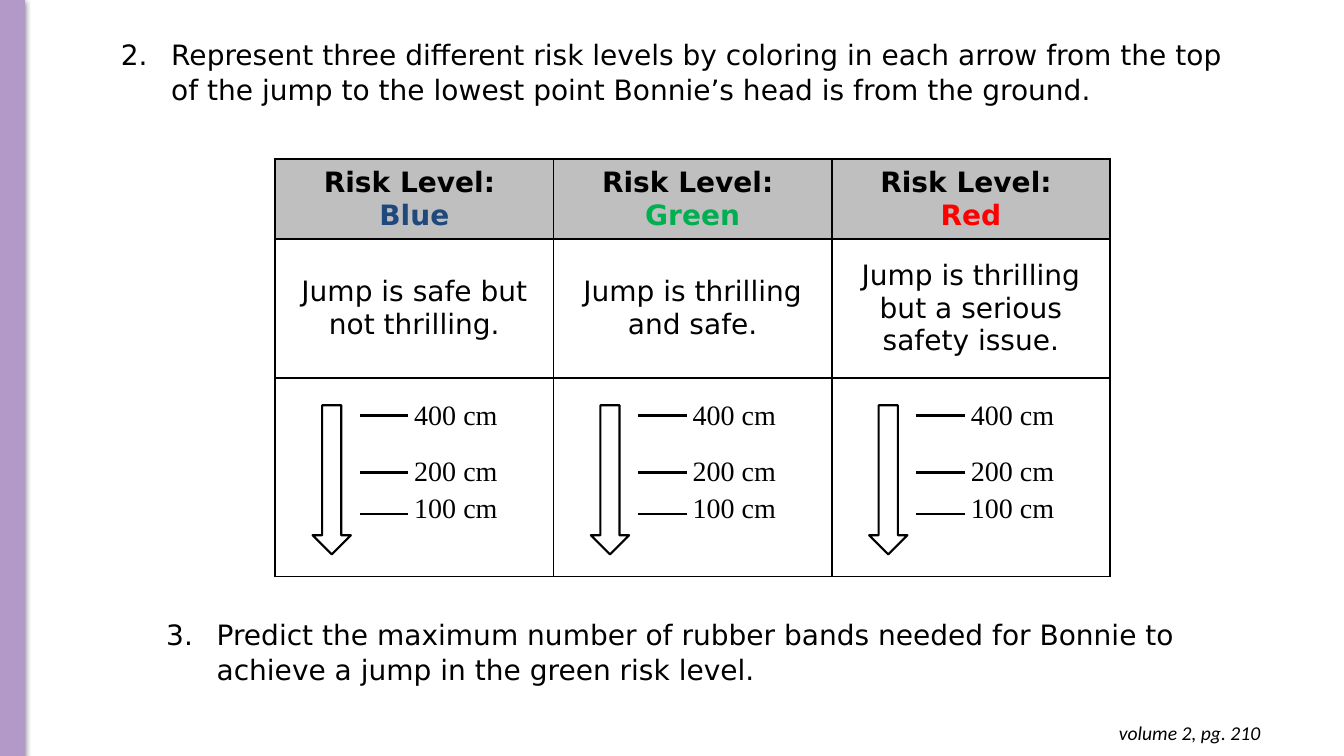
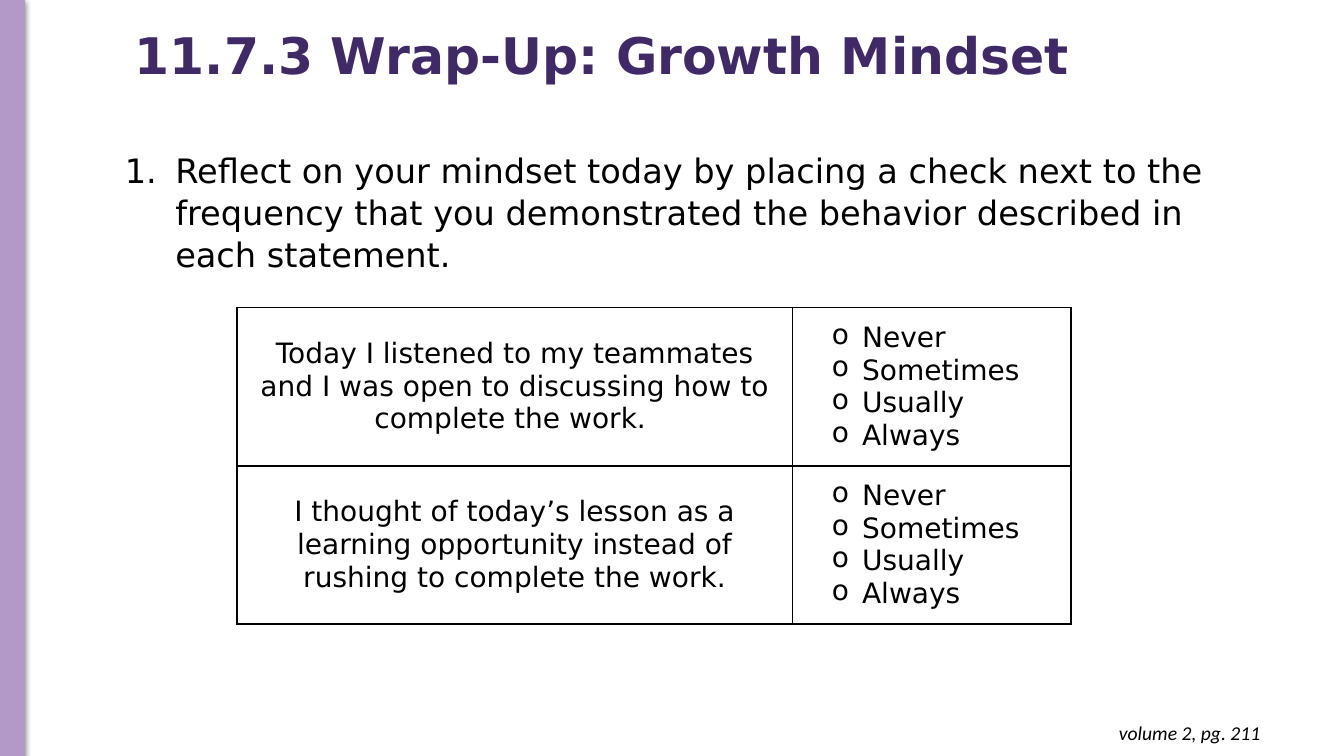
from dataclasses import dataclass

import lxml.etree
import pptx
import pptx.dml.color
import pptx.enum.shapes
import pptx.enum.text
import pptx.oxml.ns
import pptx.util

Inches = pptx.util.Inches
Pt = pptx.util.Pt
Align = pptx.enum.text.PP_ALIGN
Anchor = pptx.enum.text.MSO_ANCHOR
Shape = pptx.enum.shapes.MSO_SHAPE
qn = pptx.oxml.ns.qn


@dataclass(frozen=True)
class Theme:
    """Colours, fonts, sizes and line widths shared by the slides."""
    ink: str = "000000"
    bar: str = "B399C8"
    title: str = "3F2A67"
    header: str = "BFBFBF"
    blue: str = "1F497D"
    green: str = "00B050"
    red: str = "FF0000"
    body_font: str = "DejaVu Sans"
    label_font: str = "Times New Roman"
    footer_font: str = "Calibri"
    title_size: int = 36
    prompt_size: int = 24
    body_size: int = 20
    footer_size: int = 14
    border: float = 1.5
    tick: float = 2


T = Theme()


def rgb(value):
    """Return a colour object for a hex string."""
    return pptx.dml.color.RGBColor.from_string(value)


def add_xml(parent, tag, **attrs):
    """Append a DrawingML element and return it."""
    return lxml.etree.SubElement(parent, qn(tag), attrs)


def add_run(p, text, color=T.ink, size=T.body_size, font=T.body_font, bold=False, italic=False):
    """Add one formatted run to a paragraph."""
    r = p.add_run()
    r.text = text
    r.font.name = font
    r.font.size = Pt(size)
    r.font.bold = bold
    r.font.italic = italic
    r.font.color.rgb = rgb(color)


def add_list_mark(p, left, hang, tag, **attrs):
    """Give a paragraph a hanging indent and a bullet or number."""
    pPr = p._p.get_or_add_pPr()
    pPr.set("marL", str(Inches(left)))
    pPr.set("indent", str(-Inches(hang)))
    add_xml(add_xml(pPr, "a:buClr"), "a:srgbClr", val=T.ink)
    add_xml(pPr, tag, **attrs)


def add_text_box(shapes, x, y, w, h, anchor=Anchor.TOP, pad=0.05):
    """Add a wrapping text box and return its first paragraph."""
    tf = shapes.add_textbox(Inches(x), Inches(y), Inches(w), Inches(h)).text_frame
    tf.word_wrap = True
    tf.vertical_anchor = anchor
    tf.margin_left = tf.margin_right = Inches(0.1)
    tf.margin_top = tf.margin_bottom = Inches(pad)
    return tf.paragraphs[0]


def add_prompt(slide, x, y, w, h, number, text, size=T.body_size):
    """Add a numbered instruction."""
    p = add_text_box(slide.shapes, x, y, w, h)
    p.line_spacing = 1.04
    add_list_mark(p, 0.5, 0.5, "a:buAutoNum", type="arabicPeriod", startAt=str(number))
    add_run(p, text, size=size)


def add_title(slide, x, y, w, h, text):
    """Add the slide title."""
    p = add_text_box(slide.shapes, x, y, w, h, Anchor.MIDDLE)
    p.line_spacing = 0.9
    add_run(p, text, T.title, T.title_size, bold=True)


def add_page(prs, page):
    """Add a blank slide with the side bar and the page reference."""
    slide = prs.slides.add_slide(prs.slide_layouts[6])
    sp = slide.shapes.add_shape(Shape.RECTANGLE, 0, 0, Inches(0.24), prs.slide_height)
    sp.fill.solid()
    sp.fill.fore_color.rgb = rgb(T.bar)
    sp.line.color.rgb = rgb(T.bar)
    sp.line.width = Pt(0.75)
    sp.shadow.inherit = False
    shadow = add_xml(sp._element.spPr.find(qn("a:effectLst")), "a:outerShdw",
                     blurRad=str(Pt(4.5)), dist=str(Pt(1.5)), dir="5400000", rotWithShape="0")
    add_xml(add_xml(shadow, "a:srgbClr", val=T.ink), "a:alpha", val="50000")
    p = add_text_box(slide.shapes, 9.72, 7.05, 2.88, 0.44, pad=0.1)
    p.alignment = Align.RIGHT
    add_run(p, f"volume 2, pg. {page}", size=T.footer_size, font=T.footer_font, italic=True)
    return slide


def add_grid(slide, x, y, cols, rows):
    """Add a plain table with black borders and return it."""
    table = slide.shapes.add_table(len(rows), len(cols), Inches(x), Inches(y),
                                   Inches(sum(cols)), Inches(sum(rows))).table
    table.first_row = table.horz_banding = False
    for col, width in zip(table.columns, cols):
        col.width = Inches(width)
    for row, height in zip(table.rows, rows):
        row.height = Inches(height)
    for cell in table.iter_cells():
        tcPr = cell._tc.get_or_add_tcPr()
        for side in ("a:lnL", "a:lnR", "a:lnT", "a:lnB"):
            ln = add_xml(tcPr, side, w=str(Pt(T.border)))
            add_xml(add_xml(ln, "a:solidFill"), "a:srgbClr", val=T.ink)
        cell.fill.background()
        cell.vertical_anchor = Anchor.MIDDLE
    return table


def add_centered(cell, text):
    """Write centred body text in a table cell."""
    p = cell.text_frame.paragraphs[0]
    p.alignment = Align.CENTER
    add_run(p, text)


def add_risk_header(cell, level, color):
    """Fill a header cell with its risk level on the second line."""
    cell.fill.solid()
    cell.fill.fore_color.rgb = rgb(T.header)
    tf = cell.text_frame
    for p, text, ink in ((tf.paragraphs[0], "Risk Level: ", T.ink), (tf.add_paragraph(), level, color)):
        p.alignment = Align.CENTER
        add_run(p, text, ink, bold=True)


def add_jump_gauge(slide, x, y):
    """Add a downward arrow with a labelled height scale."""
    shapes = slide.shapes.add_group_shape().shapes
    sp = shapes.add_shape(Shape.DOWN_ARROW, Inches(x), Inches(y), Inches(0.38), Inches(1.48))
    sp.fill.background()
    sp.line.color.rgb = rgb(T.ink)
    sp.line.width = Pt(T.border)
    sp.shadow.inherit = False
    for height, tick, label in ((400, 0.1, -0.13), (200, 0.67, 0.43), (100, 1.08, 0.8)):
        line = shapes.add_connector(pptx.enum.shapes.MSO_CONNECTOR.STRAIGHT, Inches(x + 0.47),
                                    Inches(y + tick), Inches(x + 0.95), Inches(y + tick))
        line.line.color.rgb = rgb(T.ink)
        line.line.width = Pt(T.tick)
        add_xml(line._element.spPr, "a:effectLst")
        p = add_text_box(shapes, x + 0.91, y + label, 1.09, 0.37)
        add_run(p, f"{height} cm", font=T.label_font)


def add_risk_table(slide, x, y):
    """Add the three risk levels with a gauge under each."""
    levels = (
        ("Blue", T.blue, "Jump is safe but not thrilling."),
        ("Green", T.green, "Jump is thrilling and safe."),
        ("Red", T.red, "Jump is thrilling but a serious safety issue."),
    )
    col_width = 2.76
    rows = (0.79, 1.38, 1.97)
    table = add_grid(slide, x, y, [col_width] * len(levels), rows)
    for i, (level, color, meaning) in enumerate(levels):
        add_risk_header(table.cell(0, i), level, color)
        add_centered(table.cell(1, i), meaning)
        add_jump_gauge(slide, x + i * col_width + 0.37, y + sum(rows[:2]) + 0.27)


def add_mindset_table(slide, x, y):
    """Add the statements with their frequency choices."""
    statements = (
        "Today I listened to my teammates and I was open to discussing how to complete the work. ",
        "I thought of today’s lesson as a learning opportunity instead of rushing to complete the work.",
    )
    table = add_grid(slide, x, y, (5.51, 2.76), [1.57] * len(statements))
    for i, statement in enumerate(statements):
        add_centered(table.cell(i, 0), statement)
        tf = table.cell(i, 1).text_frame
        for j, choice in enumerate(("Never", "Sometimes", "Usually", "Always")):
            p = tf.add_paragraph() if j else tf.paragraphs[0]
            add_list_mark(p, 0.59, 0.3, "a:buChar", char="o")
            add_run(p, choice)


def build_risk_slide(prs):
    """Build the risk level slide."""
    slide = add_page(prs, 210)
    add_prompt(slide, 1.1, 0.31, 11.29, 0.77, 2,
               "Represent three different risk levels by coloring in each arrow from the top "
               "of the jump to the lowest point Bonnie’s head is from the ground.")
    add_risk_table(slide, 2.73, 1.58)
    add_prompt(slide, 1.55, 6.06, 10.85, 0.79, 3,
               "Predict the maximum number of rubber bands needed for Bonnie to "
               "achieve a jump in the green risk level.")


def build_mindset_slide(prs):
    """Build the wrap-up slide."""
    slide = add_page(prs, 211)
    add_title(slide, 1.24, 0.25, 9.63, 0.65, "11.7.3 Wrap-Up: Growth Mindset")
    add_prompt(slide, 1.14, 1.42, 11.44, 1.31, 1,
               "Reflect on your mindset today by placing a check next to the frequency "
               "that you demonstrated the behavior described in each statement.", T.prompt_size)
    add_mindset_table(slide, 2.35, 3.05)


def main():
    """Build and save the presentation."""
    prs = pptx.Presentation()
    prs.slide_width = Inches(13.33)
    prs.slide_height = Inches(7.5)
    build_risk_slide(prs)
    build_mindset_slide(prs)
    prs.save("out.pptx")


if __name__ == "__main__":
    main()
